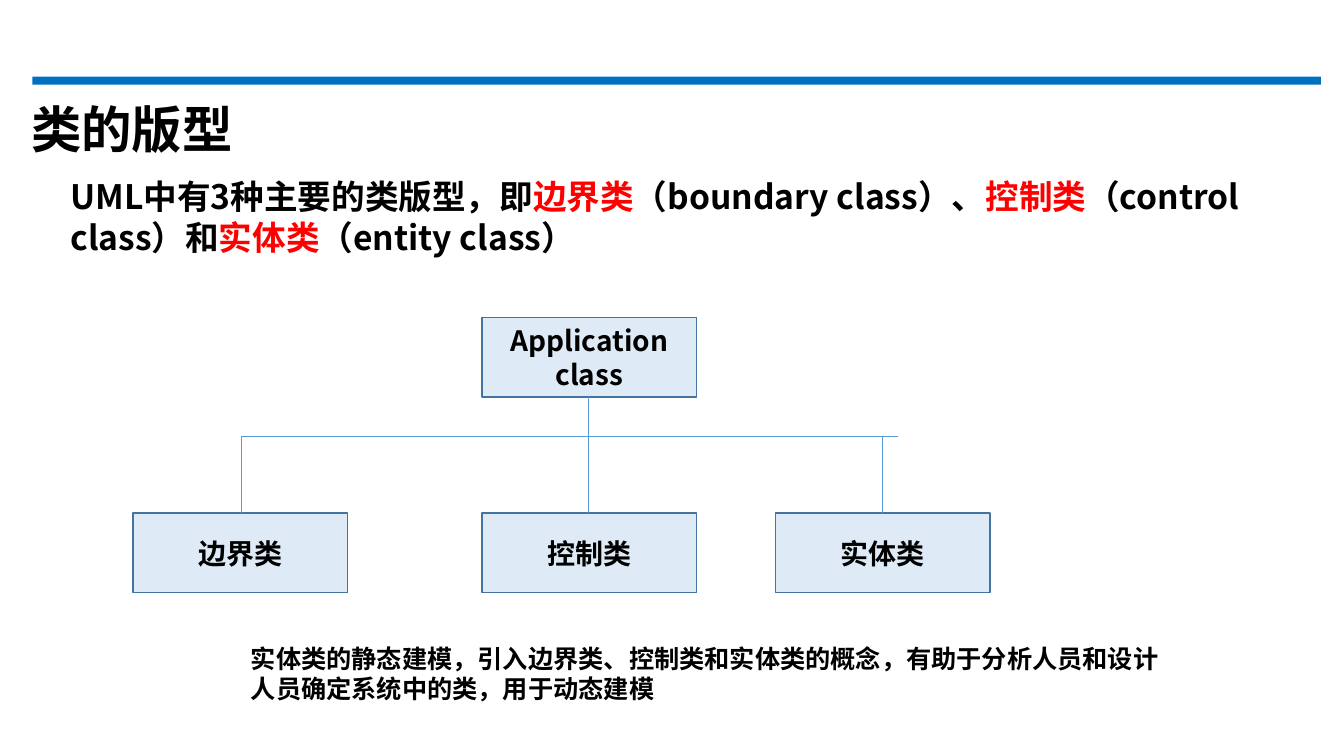
"""Build a slide on the three main class stereotypes in UML."""
from lxml.etree import SubElement
from pptx import Presentation
from pptx.dml.color import RGBColor
from pptx.enum.shapes import MSO_CONNECTOR as CONNECTOR, MSO_SHAPE as SHAPE
from pptx.enum.text import MSO_ANCHOR as ANCHOR, PP_ALIGN as ALIGN
from pptx.oxml.ns import qn
from pptx.util import Inches, Pt

FONT = "Noto Sans CJK SC"
BLACK = RGBColor(0x00, 0x00, 0x00)
RED = RGBColor(0xFF, 0x00, 0x00)
BAR_BLUE = RGBColor(0x00, 0x70, 0xC0)
BOX_FILL = RGBColor(0xDE, 0xEB, 0xF7)
BOX_LINE = RGBColor(0x43, 0x73, 0x9E)
LINK_BLUE = RGBColor(0x5B, 0x9B, 0xD5)


def write(para, size, *pieces):
    """Fill a bold paragraph from (text, colour) pieces."""
    para.font.size = Pt(size)
    para.font.bold = True
    para.font.color.rgb = BLACK
    para.font.name = FONT
    SubElement(para._p.pPr.find(qn("a:defRPr")), qn("a:ea"), typeface=FONT)
    for text, color in pieces:
        span = para.add_run()
        span.text = text
        if color != BLACK:
            span.font.color.rgb = color


deck = Presentation()
deck.slide_width, deck.slide_height = Inches(13.33), Inches(7.5)
page = deck.slides.add_slide(deck.slide_layouts[6])

bar = page.shapes.add_shape(SHAPE.RECTANGLE, Inches(0.32), Inches(0.76), Inches(12.78), Inches(0.08))
bar.shadow.inherit = False
bar.fill.solid()
bar.fill.fore_color.rgb = BAR_BLUE
bar.line.fill.background()

intro = [
    ("UML中有3种主要的类版型，即", BLACK),
    ("边界类", RED),
    ("（boundary class）、", BLACK),
    ("控制类", RED),
    ("（control class）和", BLACK),
    ("实体类", RED),
    ("（entity class）", BLACK),
]
summary = "实体类的静态建模，引入边界类、控制类和实体类的概念，有助于分析人员和设计人员确定系统中的类，用于动态建模"
texts = [
    (0.21, 0.92, 2.22, 0.71, False, 36, [("类的版型", BLACK)]),
    (0.6, 1.7, 12.06, 0.91, True, 24, intro),
    (2.39, 6.33, 9.21, 0.71, True, 18, [(summary, BLACK)]),
]
for left, top, width, height, wrap, size, pieces in texts:
    box = page.shapes.add_textbox(Inches(left), Inches(top), Inches(width), Inches(height))
    box.text_frame.word_wrap = wrap
    write(box.text_frame.paragraphs[0], size, *pieces)

BOX_WIDTH, BOX_HEIGHT = 2.13, 0.79
ROOT_TOP, CHILD_TOP, BRANCH_Y = 3.15, 5.09, 4.33
class_boxes = [
    ("Application class", 4.78, ROOT_TOP),
    ("边界类", 1.32, CHILD_TOP),
    ("控制类", 4.78, CHILD_TOP),
    ("实体类", 7.69, CHILD_TOP),
]
for name, left, top in class_boxes:
    box = page.shapes.add_shape(SHAPE.RECTANGLE, Inches(left), Inches(top), Inches(BOX_WIDTH), Inches(BOX_HEIGHT))
    box.shadow.inherit = False
    box.fill.solid()
    box.fill.fore_color.rgb = BOX_FILL
    box.line.color.rgb = BOX_LINE
    box.line.width = Pt(1)
    box.text_frame.word_wrap = True
    box.text_frame.vertical_anchor = ANCHOR.MIDDLE
    para = box.text_frame.paragraphs[0]
    para.alignment = ALIGN.CENTER
    write(para, 20, (name, BLACK))

links = [
    (2.39, BRANCH_Y, 8.91, BRANCH_Y),
    (2.39, BRANCH_Y, 2.39, CHILD_TOP),
    (5.84, ROOT_TOP + BOX_HEIGHT, 5.84, CHILD_TOP),
    (8.75, BRANCH_Y, 8.75, CHILD_TOP),
]
for ends in links:
    link = page.shapes.add_connector(CONNECTOR.STRAIGHT, *map(Inches, ends))
    link.line.color.rgb = LINK_BLUE
    link.line.width = Pt(0.5)
    SubElement(link._element.spPr, qn("a:effectLst"))

deck.save("out.pptx")
